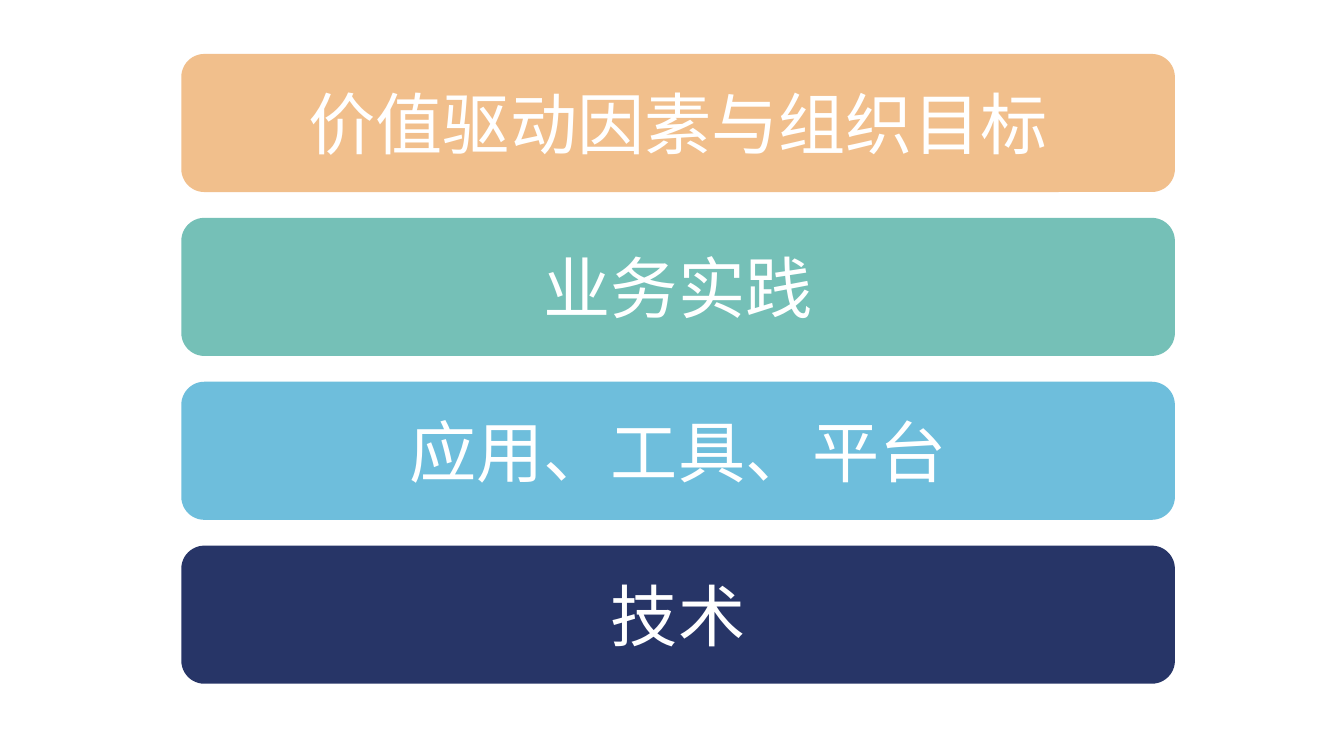
from lxml.etree import SubElement
from pptx import Presentation
from pptx.dml.color import RGBColor
from pptx.enum.shapes import MSO_SHAPE as Shape
from pptx.enum.text import MSO_ANCHOR as Anchor, PP_ALIGN as Align
from pptx.oxml.ns import qn
from pptx.util import Cm, Pt

WHITE = RGBColor(0xFF, 0xFF, 0xFF)
ORANGE = RGBColor(0xF1, 0xBF, 0x8C)
GREEN = RGBColor(0x75, 0xC0, 0xB7)
BLUE = RGBColor(0x6E, 0xBE, 0xDC)
NAVY = RGBColor(0x27, 0x35, 0x67)
FACE = "Noto Sans CJK SC"
FONT = {"name": FACE, "size": Pt(48), "bold": False}
FRAME = {"word_wrap": True, "vertical_anchor": Anchor.MIDDLE}

LAYERS = [
    ("价值驱动因素与组织目标", ORANGE),
    ("业务实践", GREEN),
    ("应用、工具、平台", BLUE),
    ("技术", NAVY),
]
LEFT, TOP, WIDTH, HEIGHT, PITCH = 4.57, 1.36, 25.04, 3.48, 4.13

deck = Presentation()
deck.slide_width, deck.slide_height = Cm(33.87), Cm(19.05)
slide = deck.slides.add_slide(deck.slide_layouts[6])

for row, (label, color) in enumerate(LAYERS):
    bar = slide.shapes.add_shape(
        Shape.ROUNDED_RECTANGLE,
        Cm(LEFT), Cm(TOP + row * PITCH), Cm(WIDTH), Cm(HEIGHT),
    )
    bar.shadow.inherit = False
    bar.fill.solid()
    bar.fill.fore_color.rgb = color
    bar.line.fill.background()

    frame = bar.text_frame
    for key, value in FRAME.items():
        setattr(frame, key, value)
    para = frame.paragraphs[0]
    para.alignment = Align.CENTER
    run = para.add_run()
    run.text = label
    for key, value in FONT.items():
        setattr(run.font, key, value)
    run.font.color.rgb = WHITE
    latin = run.font._element.find(qn("a:latin"))
    east = SubElement(run.font._element, qn("a:ea"), typeface=FACE)
    latin.addnext(east)

deck.save("out.pptx")
